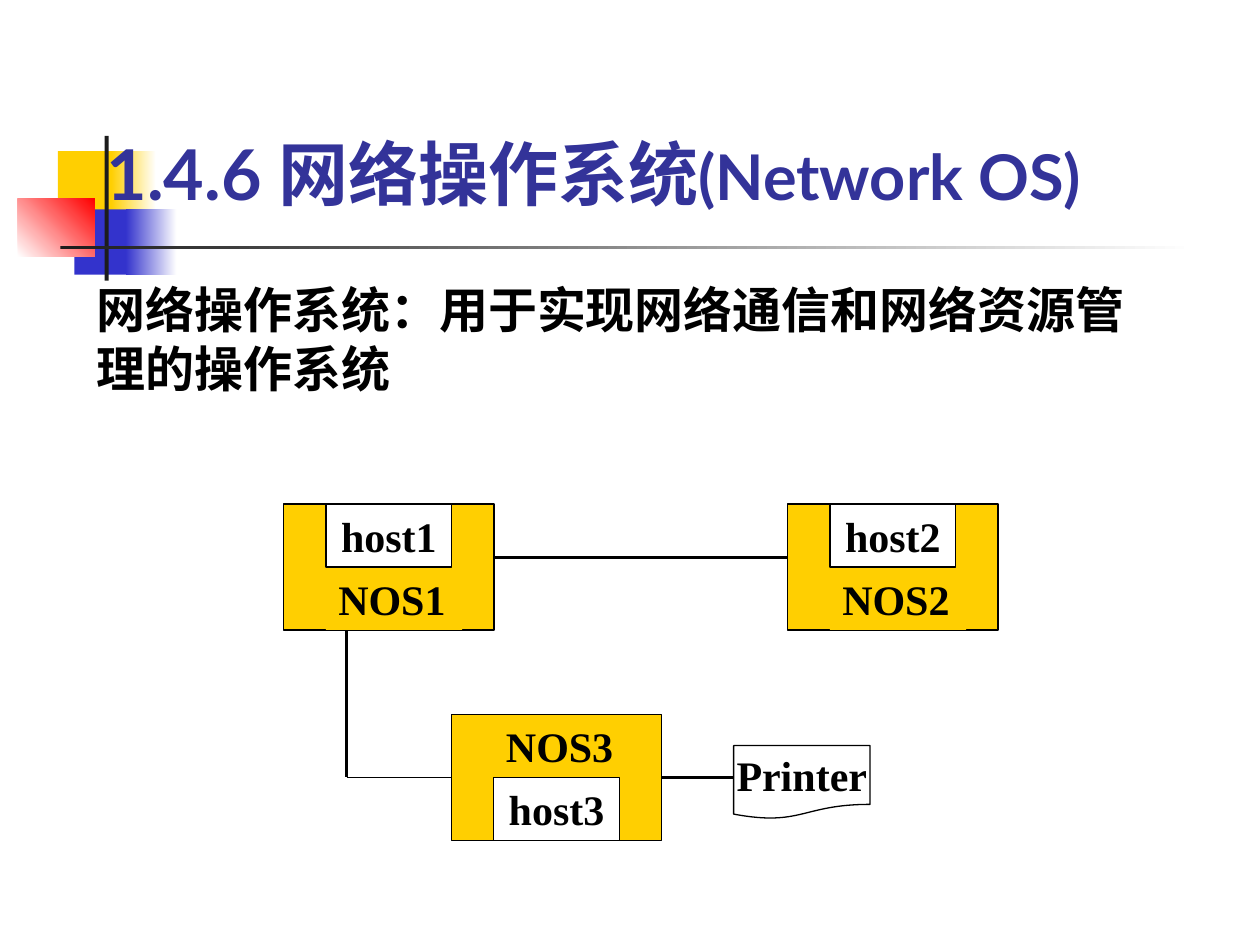
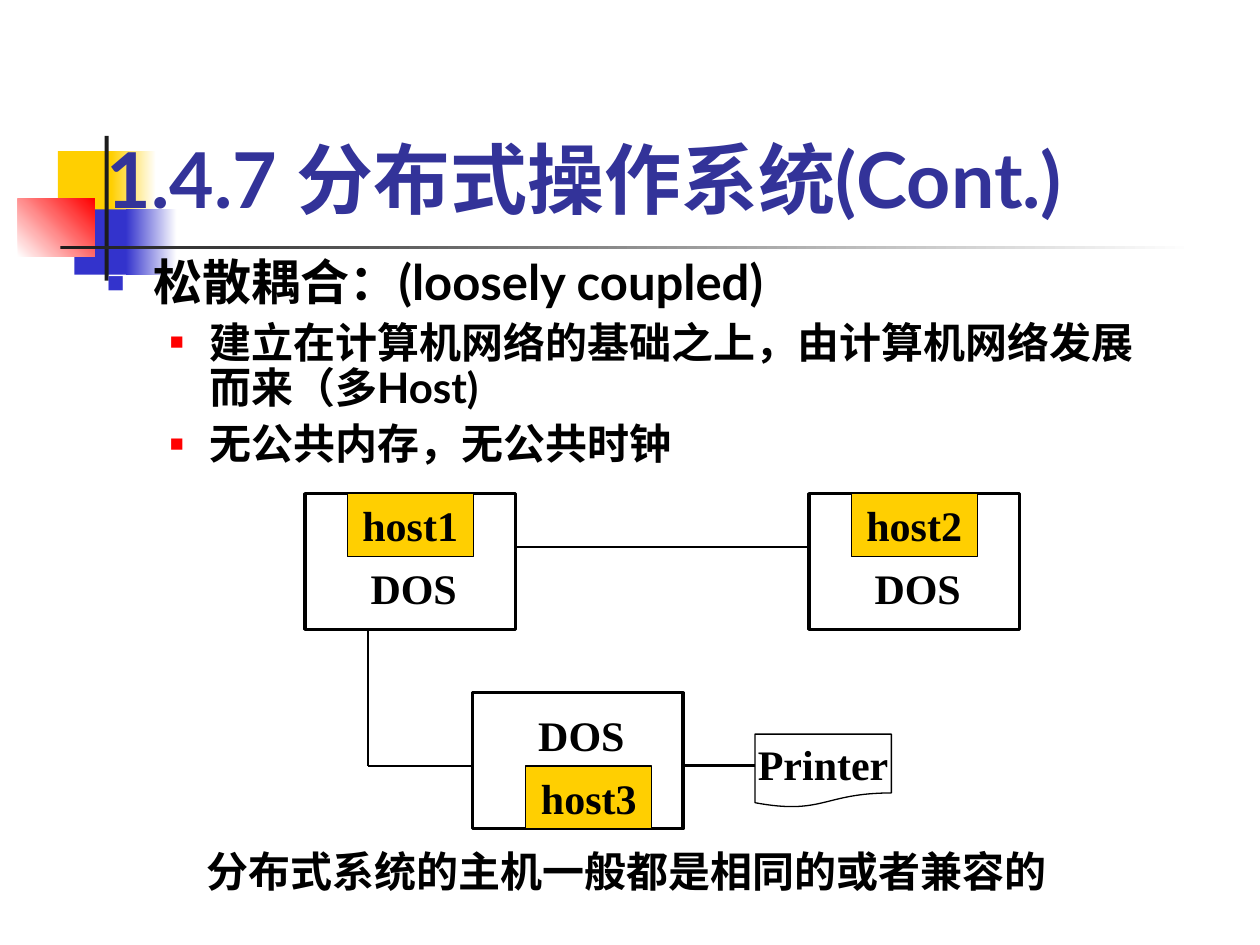
import pptx
import pptx.dml.color
import pptx.enum.shapes
import pptx.enum.text
import pptx.oxml.ns
import pptx.util
from lxml import etree

Cm = pptx.util.Cm
Pt = pptx.util.Pt
SHAPE = pptx.enum.shapes.MSO_SHAPE
ALIGN = pptx.enum.text.PP_ALIGN
ANCHOR = pptx.enum.text.MSO_ANCHOR
AUTO_SIZE = pptx.enum.text.MSO_AUTO_SIZE

YELLOW, BLUE, RED = "FFCF01", "3333CC", "FF0000"
WHITE, BLACK, CHARCOAL, TITLE_BLUE = "FFFFFF", "000000", "1C1C1C", "333399"
SANS, SERIF = "Lato", "Times New Roman"

# Lengths in centimetres
HOST_WIDTH, HOST_HEIGHT = 2.54, 1.27
SYSTEM_WIDTH = 4.24
PRINTER_WIDTH, PRINTER_HEIGHT = 2.75, 1.48

# left, top, width, height, colours from start to end, gradient angle
MASTER_BANDS = [
    (1.17, 3.05, 1.22, 1.32, [YELLOW], 0),
    (2.24, 3.05, 0.91, 1.32, [YELLOW, WHITE], 0),
    (1.5, 4.22, 1.17, 1.32, [BLUE], 0),
    (2.54, 4.22, 1.02, 1.32, [BLUE, WHITE], 0),
    (0.36, 4.01, 1.55, 1.17, [WHITE, RED], 45),
    (2.11, 2.74, 0.08, 2.92, [CHARCOAL], 0),
    (1.22, 4.95, 22.86, 0.08, [CHARCOAL, WHITE], 0),
]


def color(hex_string):
    return pptx.dml.color.RGBColor.from_string(hex_string)


def apply_format(target, values):
    for name, value in values.items():
        setattr(target, name, value)


def write_run(paragraph, text, size, font, text_color=BLACK):
    run = paragraph.add_run()
    run.text = text
    apply_format(run.font, {"size": Pt(size), "name": font, "bold": True})
    run.font.color.rgb = color(text_color)


def add_box(slide, left, top, width, height, fill=None, line=None, kind=SHAPE.RECTANGLE):
    """Add a flat shape; fill is a colour or None, line a width in points or None."""
    shape = slide.shapes.add_shape(kind, Cm(left), Cm(top), Cm(width), Cm(height))
    shape.shadow.inherit = False
    if fill:
        shape.fill.solid()
        shape.fill.fore_color.rgb = color(fill)
    else:
        shape.fill.background()
    if line:
        shape.line.width = Pt(line)
        shape.line.color.rgb = color(BLACK)
    else:
        shape.line.fill.background()
    return shape


def add_master_bands(presentation, slide):
    """Draw the corner blocks and rules, then move them behind everything on the master."""
    tree = presentation.slide_master.shapes.element
    for index, (left, top, width, height, colors, angle) in enumerate(MASTER_BANDS):
        shape = add_box(slide, left, top, width, height, colors[0])
        if len(colors) > 1:
            shape.fill.gradient()
            shape.fill.gradient_angle = angle
            for stop, stop_color in zip(shape.fill.gradient_stops, colors):
                stop.color.rgb = color(stop_color)
        shape.element.nvSpPr.cNvPr.set("id", str(100 + index))
        tree.insert(2 + index, shape.element)


def set_title(slide, top, runs):
    """Fill the title placeholder with (text, size) runs."""
    title = slide.shapes.title
    apply_format(title, {"left": Cm(1.9), "top": Cm(top), "width": Cm(21.6), "height": Cm(3.18)})
    apply_format(title.text_frame, {"vertical_anchor": ANCHOR.BOTTOM, "auto_size": AUTO_SIZE.NONE})
    paragraph = title.text_frame.paragraphs[0]
    paragraph.alignment = ALIGN.LEFT
    for text, size in runs:
        write_run(paragraph, text, size, SANS, TITLE_BLUE)


def add_bullet(paragraph, margin, indent, bullet_color, percent):
    properties = paragraph._p.get_or_add_pPr()
    properties.set("marL", str(Cm(margin)))
    properties.set("indent", str(Cm(indent)))
    qn = pptx.oxml.ns.qn
    holder = etree.SubElement(properties, qn("a:buClr"))
    etree.SubElement(holder, qn("a:srgbClr"), val=bullet_color)
    etree.SubElement(properties, qn("a:buSzPct"), val=str(percent * 1000))
    etree.SubElement(properties, qn("a:buChar"), char="■")


def fill_list(placeholder, items):
    """Write (level, text) items into the body placeholder."""
    apply_format(placeholder, {"left": Cm(1.9), "top": Cm(5.08),
                               "width": Cm(21.6), "height": Cm(4.65)})
    frame = placeholder.text_frame
    frame.auto_size = AUTO_SIZE.NONE
    for index, (level, text) in enumerate(items):
        paragraph = frame.add_paragraph() if index else frame.paragraphs[0]
        if level:
            add_bullet(paragraph, 2.06, -0.79, RED, 55)
        else:
            add_bullet(paragraph, 0.95, -0.95, BLUE, 60)
        apply_format(paragraph, {"level": level, "line_spacing": 0.9,
                                 "space_before": Pt(6 if index else 0)})
        write_run(paragraph, text, 24 if level else 28, SANS)


def add_text(slide, left, top, width, height, text, size, font):
    box = slide.shapes.add_textbox(Cm(left), Cm(top), Cm(width), Cm(height))
    box.text_frame.word_wrap = True
    write_run(box.text_frame.paragraphs[0], text, size, font)
    return box


def center_text(shape, text):
    apply_format(shape.text_frame, {"word_wrap": False, "vertical_anchor": ANCHOR.MIDDLE})
    paragraph = shape.text_frame.paragraphs[0]
    paragraph.alignment = ALIGN.CENTER
    write_run(paragraph, text, 24, SERIF)


def side_middles(box):
    """Return the side middles in connection order: top, left, bottom, right."""
    middle_x, middle_y = box.left + box.width // 2, box.top + box.height // 2
    return [(middle_x, box.top), (box.left, middle_y),
            (middle_x, box.top + box.height), (box.left + box.width, middle_y)]


def add_line(slide, start, end, width, boxes):
    """Draw a line and join the ends that meet the middle of a box side."""
    ends = [(Cm(x), Cm(y)) for x, y in (start, end)]
    line = slide.shapes.add_connector(
        pptx.enum.shapes.MSO_CONNECTOR.STRAIGHT, *ends[0], *ends[1])
    line.line.width = Pt(width)
    line.line.color.rgb = color(BLACK)
    etree.SubElement(line.element.spPr, pptx.oxml.ns.qn("a:effectLst"))
    for (x, y), join in zip(ends, (line.begin_connect, line.end_connect)):
        for box in boxes:
            for side, (side_x, side_y) in enumerate(side_middles(box)):
                if max(abs(side_x - x), abs(side_y - y)) < Cm(0.03):
                    join(box, side)


def add_system(slide, style, left, top, label, host, host_left, host_on_top):
    """Add one computer: its operating system box, the label and the host."""
    system = add_box(slide, left, top, SYSTEM_WIDTH, style["height"],
                     style["system_fill"], style["system_line"])
    if host_on_top:
        host_top, label_top = top, top + HOST_HEIGHT
    else:
        host_top = top + style["height"] - HOST_HEIGHT
        label_top = host_top - HOST_HEIGHT
    label_box = add_text(slide, left + style["label_left"], label_top,
                         style["label_width"], HOST_HEIGHT, label, 24, SERIF)
    if host_on_top:
        label_box.fill.solid()
        label_box.fill.fore_color.rgb = color(style["system_fill"])
    host_box = add_box(slide, left + host_left, host_top, HOST_WIDTH, HOST_HEIGHT,
                       style["host_fill"], 0.75)
    center_text(host_box, host)
    return system


def add_network(slide, style):
    """Add three linked computers and a printer."""
    left, top, third_top = style["left"], style["top"], style["third_top"]
    right_left, third_left = left + 10.16, left + 3.38
    labels = style["labels"]
    third_host_top = third_top + style["height"] - HOST_HEIGHT
    third_right = third_left + SYSTEM_WIDTH
    printer_left = third_right + 1.45
    boxes = [
        add_system(slide, style, left, top, labels[0], "host1", 0.85, True),
        add_system(slide, style, right_left, top, labels[1], "host2", 0.85, True),
        add_system(slide, style, third_left, third_top, labels[2], "host3",
                   style["label_left"], False),
    ]
    printer = add_box(slide, printer_left, third_host_top - 0.64, PRINTER_WIDTH,
                      PRINTER_HEIGHT, WHITE, 0.75, SHAPE.FLOWCHART_DOCUMENT)
    center_text(printer, "Printer")

    link_y, branch_x = top + 1.07, left + 1.27
    corner = (branch_x, third_host_top)
    width = style["link_line"]
    for start, end, line_width in [
        ((left + SYSTEM_WIDTH, link_y), (right_left, link_y), width),
        ((branch_x, top + style["height"]), corner, width),
        (corner, (third_left, third_host_top), 0.75),
        ((third_right, third_host_top), (printer_left, third_host_top), 1.75),
    ]:
        add_line(slide, start, end, line_width, boxes)


def build_network_os(slide):
    set_title(slide, 1.27, [("1.4.6 网络操作系统", 40), ("(Network OS)", 36)])
    add_text(slide, 1.7, 5.51, 21.97, 2.64,
             "网络操作系统：用于实现网络通信和网络资源管理的操作系统", 28, SERIF)
    add_network(slide, {
        "left": 5.72, "top": 10.16, "third_top": 14.4, "height": 2.54,
        "labels": ["NOS1", "NOS2", "NOS3"], "label_left": 0.85, "label_width": 2.75,
        "system_fill": YELLOW, "host_fill": WHITE, "system_line": 0.75, "link_line": 1.75,
    })


def build_distributed_os(slide):
    set_title(slide, 1.47, [("1.4.7 分布式操作系统(Cont.)", 44)])
    fill_list(slide.placeholders[1], [
        (0, "松散耦合：(loosely coupled)"),
        (1, "建立在计算机网络的基础之上，由计算机网络发展而来（多Host)"),
        (1, "无公共内存，无公共时钟"),
    ])
    add_network(slide, {
        "left": 6.15, "top": 9.95, "third_top": 13.97, "height": 2.74,
        "labels": ["DOS"] * 3, "label_left": 1.07, "label_width": 2.33,
        "system_fill": WHITE, "host_fill": YELLOW, "system_line": 1.75, "link_line": 1.25,
    })
    add_text(slide, 3.92, 16.92, 17.7, 1.27,
             "分布式系统的主机一般都是相同的或者兼容的", 24, SANS)


def main():
    presentation = pptx.Presentation()
    presentation.slide_width, presentation.slide_height = Cm(25.4), Cm(19.05)
    layouts = presentation.slide_layouts
    network_slide = presentation.slides.add_slide(layouts.get_by_name("Title Only"))
    add_master_bands(presentation, network_slide)
    build_network_os(network_slide)
    build_distributed_os(presentation.slides.add_slide(layouts.get_by_name("Title and Content")))
    presentation.save("out.pptx")


if __name__ == "__main__":
    main()
